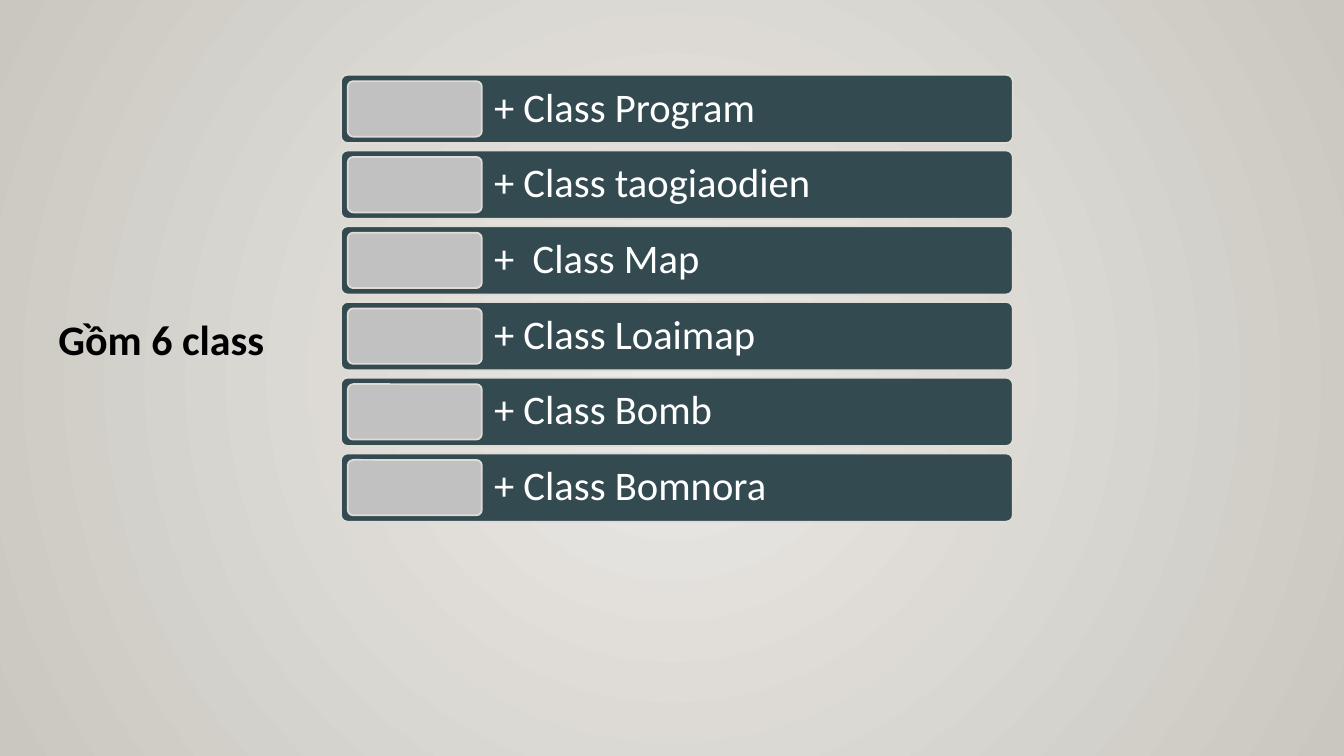
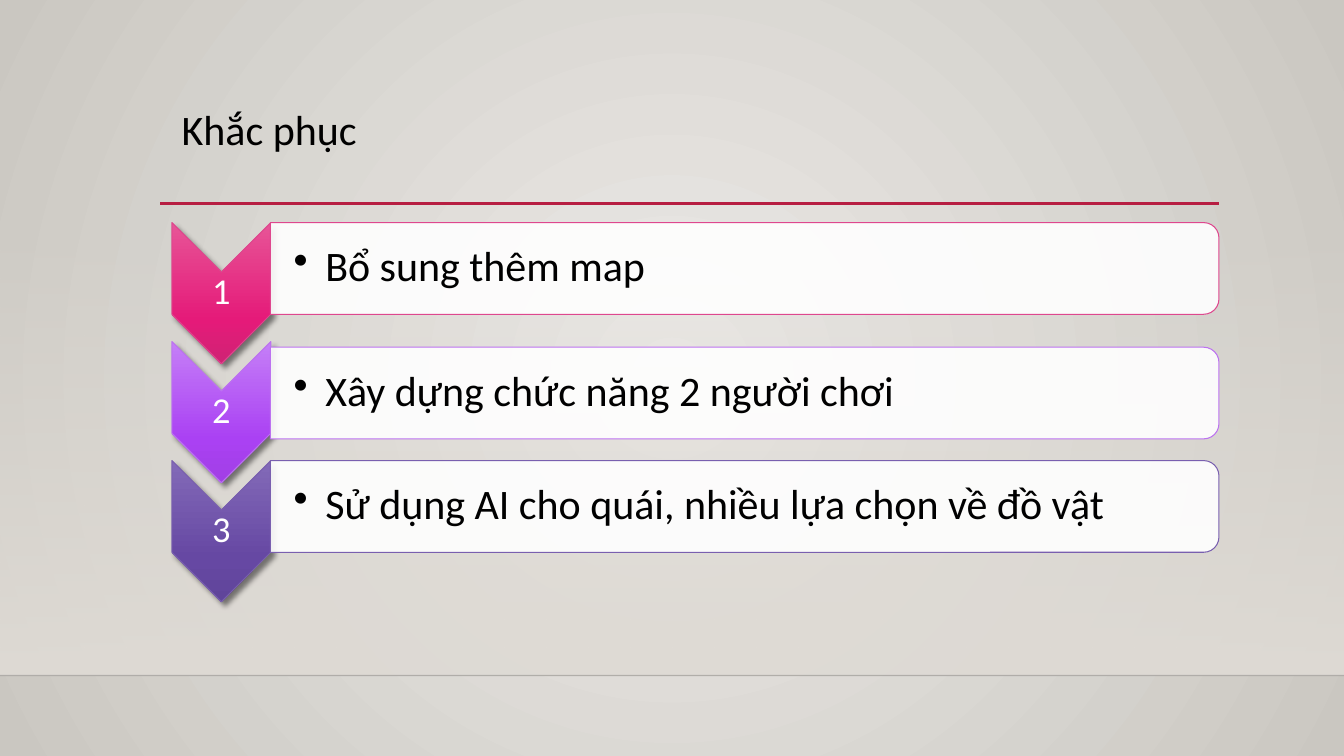
from dataclasses import dataclass

from lxml.etree import SubElement
from pptx import Presentation
from pptx.dml.color import RGBColor
from pptx.enum.shapes import MSO_CONNECTOR, MSO_SHAPE
from pptx.enum.text import MSO_ANCHOR, MSO_AUTO_SIZE, PP_ALIGN
from pptx.oxml.ns import qn
from pptx.util import Pt

TITLE_ONLY = 5


@dataclass(frozen=True)
class Theme:
    font: str = "Calibri"
    title_size: int = 30
    row_size: int = 29
    number_size: int = 26
    text: str = "000000"
    light_text: str = "FFFFFF"
    panel: str = "FFFFFF"
    backdrop: tuple = ((0, "ECEAE7", 100), (100, "CAC7C1", 100))
    floor: tuple = ((0, "DFDBD5", 0), (100, "DFDBD5", 100))
    edge: str = "DFDBD5"
    row: str = "334A51"
    thumb: str = "C1C1C1"
    rule: str = "B71E42"
    floor_line: str = "000001"
    # Each step: outline, then the light, middle and dark gradient colours
    steps: tuple = (
        ("DE478E", "E75597", "E51A79", "CF2374"),
        ("BC72F0", "C57FF7", "AA41F3", "A13FE5"),
        ("795FAF", "836AB8", "6648A3", "60459A"),
    )


def rgb(color):
    return RGBColor.from_string(color)


def add_alpha(parent, percent):
    """Make the RGB colour inside parent partly transparent."""
    clr = next(parent.iter(qn("a:srgbClr")))
    SubElement(clr, qn("a:alpha"), val=str(percent * 1000))


def set_gradient(fill, owner, stops, radial=False):
    """Fill from top to bottom, or outwards from the centre if radial."""
    fill.gradient()
    grad = next(owner.iter(qn("a:gradFill")))
    grad.set("rotWithShape", "0")
    for child in list(grad):
        grad.remove(child)
    gs_list = SubElement(grad, qn("a:gsLst"))
    for position, color, opacity in stops:
        gs = SubElement(gs_list, qn("a:gs"), pos=str(position * 1000))
        SubElement(gs, qn("a:srgbClr"), val=color)
        if opacity < 100:
            add_alpha(gs, opacity)
    if radial:
        circle = SubElement(grad, qn("a:path"), {"path": "circle"})
        SubElement(circle, qn("a:fillToRect"), dict.fromkeys("ltrb", "50000"))
    else:
        SubElement(grad, qn("a:lin"), ang="5400000", scaled="0")


class Deck:
    def __init__(self, theme):
        self.theme = theme
        self.prs = Presentation()
        self.prs.slide_width, self.prs.slide_height = Pt(960), Pt(540)
        master = self.prs.slide_master
        set_gradient(master.background.fill, master.element, theme.backdrop, radial=True)
        self.slide = None

    def new_slide(self):
        self.slide = self.prs.slides.add_slide(self.prs.slide_layouts[TITLE_ONLY])

    def style(self, p, size, color, bold=False, align=PP_ALIGN.LEFT, spacing=0.9):
        p.alignment, p.line_spacing = align, spacing
        for r in p.runs:
            r.font.name, r.font.size, r.font.bold = self.theme.font, Pt(size), bold
            r.font.color.rgb = rgb(color)

    def title(self, text, left, top, width, height, bold=False):
        sp = self.slide.shapes.title
        sp.left, sp.top, sp.width, sp.height = Pt(left), Pt(top), Pt(width), Pt(height)
        tf = sp.text_frame
        tf.text = text
        tf.auto_size, tf.vertical_anchor = MSO_AUTO_SIZE.NONE, MSO_ANCHOR.TOP
        p = tf.paragraphs[0]
        self.style(p, self.theme.title_size, self.theme.text, bold, spacing=1.2)
        p.space_before = Pt(10)

    def shape(self, kind, left, top, width, height, fill=None, line=None, weight=1.25):
        sp = self.slide.shapes.add_shape(kind, Pt(left), Pt(top), Pt(width), Pt(height))
        sp.shadow.inherit = False
        if fill:
            sp.fill.solid()
            sp.fill.fore_color.rgb = rgb(fill)
        if line:
            sp.line.color.rgb, sp.line.width = rgb(line), Pt(weight)
        else:
            sp.line.fill.background()
        return sp

    def turned(self, kind, left, top, width, height, fill=None, line=None):
        """Add a shape turned by 90 degrees that covers the given area."""
        shift = (width - height) / 2
        sp = self.shape(kind, left + shift, top - shift, height, width, fill, line, 0.75)
        sp.rotation = 90
        return sp

    def rounded(self, left, top, width, height, fill):
        sp = self.shape(MSO_SHAPE.ROUNDED_RECTANGLE, left, top, width, height,
                        fill, self.theme.edge)
        sp.adjustments[0] = 0.1
        return sp

    def set_text(self, sp, text, size, color, inset, align=PP_ALIGN.LEFT):
        tf = sp.text_frame
        tf.text = text
        tf.word_wrap, tf.vertical_anchor = True, MSO_ANCHOR.MIDDLE
        tf.margin_left = Pt(inset)
        tf.margin_right = tf.margin_top = tf.margin_bottom = Pt(1.5)
        p = tf.paragraphs[0]
        self.style(p, size, color, align=align)
        return p

    def label(self, text, left, top, width, height, size, color, inset=1.5,
              align=PP_ALIGN.LEFT):
        sp = self.slide.shapes.add_textbox(Pt(left), Pt(top), Pt(width), Pt(height))
        return self.set_text(sp, text, size, color, inset, align)

    def hline(self, left, right, y, color, weight, opacity=100):
        cxn = self.slide.shapes.add_connector(
            MSO_CONNECTOR.STRAIGHT, Pt(left), Pt(y), Pt(right), Pt(y))
        cxn.line.color.rgb, cxn.line.width = rgb(color), Pt(weight)
        spPr = cxn.element.spPr
        if opacity < 100:
            add_alpha(spPr, opacity)
        SubElement(spPr, qn("a:effectLst"))

    def floor(self):
        """Add the fading floor with its edge, and the rule under the title."""
        sp = self.shape(MSO_SHAPE.RECTANGLE, 0, 159, 960, 323.5)
        set_gradient(sp.fill, sp.element.spPr, self.theme.floor)
        self.hline(0, 960, 482.5, self.theme.floor_line, 1, opacity=20)
        self.hline(114.5, 871, 145.3, self.theme.rule, 2.5)

    def class_row(self, text, top):
        t = self.theme
        bar = self.rounded(243.5, top, 480, 48.8, t.row)
        self.set_text(bar, text, t.row_size, t.light_text, inset=108)
        self.rounded(248.4, top + 4.6, 95.8, 39.6, t.thumb)

    def chevron(self, number, top, colors):
        t = self.theme
        line, *shades = colors
        left, width = 122.8, 70.6
        sp = self.turned(MSO_SHAPE.CHEVRON, left, top, width, 100.8, line=line)
        stops = [(pos, shade, 100) for pos, shade in zip((0, 69, 100), shades)]
        spPr = sp.element.spPr
        set_gradient(sp.fill, spPr, stops)
        shadow = SubElement(spPr.find(qn("a:effectLst")), qn("a:outerShdw"),
                            blurRad=str(Pt(4)), dist=str(Pt(4)), dir="2700000",
                            rotWithShape="0")
        SubElement(shadow, qn("a:srgbClr"), val=t.text)
        add_alpha(shadow, 48)
        self.label(str(number), left, top + 35.3, width, 30.2, t.number_size,
                   t.light_text, align=PP_ALIGN.CENTER)

    def step_panel(self, text, top, line):
        t = self.theme
        left, width = 193.2, 677.5
        sp = self.turned(MSO_SHAPE.ROUND_2_SAME_RECTANGLE, left, top, width, 65.5,
                         t.panel, line)
        add_alpha(sp.element.spPr, 90)
        p = self.label(text, left, top + 3.2, width - 3, 59, t.title_size, t.text,
                       inset=16.6)
        pPr = p._p.get_or_add_pPr()
        pPr.set("marL", str(Pt(22.5)))
        pPr.set("indent", str(Pt(-22.5)))
        SubElement(pPr, qn("a:buChar"), char="•")


def class_slide(deck):
    deck.new_slide()
    classes = ("+ Class Program", "+ Class taogiaodien", "+  Class Map",
               "+ Class Loaimap", "+ Class Bomb", "+ Class Bomnora")
    for i, name in enumerate(classes):
        deck.class_row(name, 53.4 + 54.1 * i)
    deck.title("Gồm 6 class", 34.5, 213, 176.5, 63.5, bold=True)


def improvement_slide(deck):
    deck.new_slide()
    deck.floor()
    deck.title("Khắc phục", 122.5, 63.4, 764.6, 113)
    steps = (("Bổ sung thêm map", 159),
             ("Xây dựng chức năng 2 người chơi", 248),
             ("Sử dụng AI cho quái, nhiều lựa chọn về đồ vật", 329))
    for i, ((text, panel_top), colors) in enumerate(zip(steps, deck.theme.steps)):
        deck.chevron(i + 1, 159 + 85 * i, colors)
        deck.step_panel(text, panel_top, colors[0])


def main():
    deck = Deck(Theme())
    class_slide(deck)
    improvement_slide(deck)
    deck.prs.save("out.pptx")


if __name__ == "__main__":
    main()
